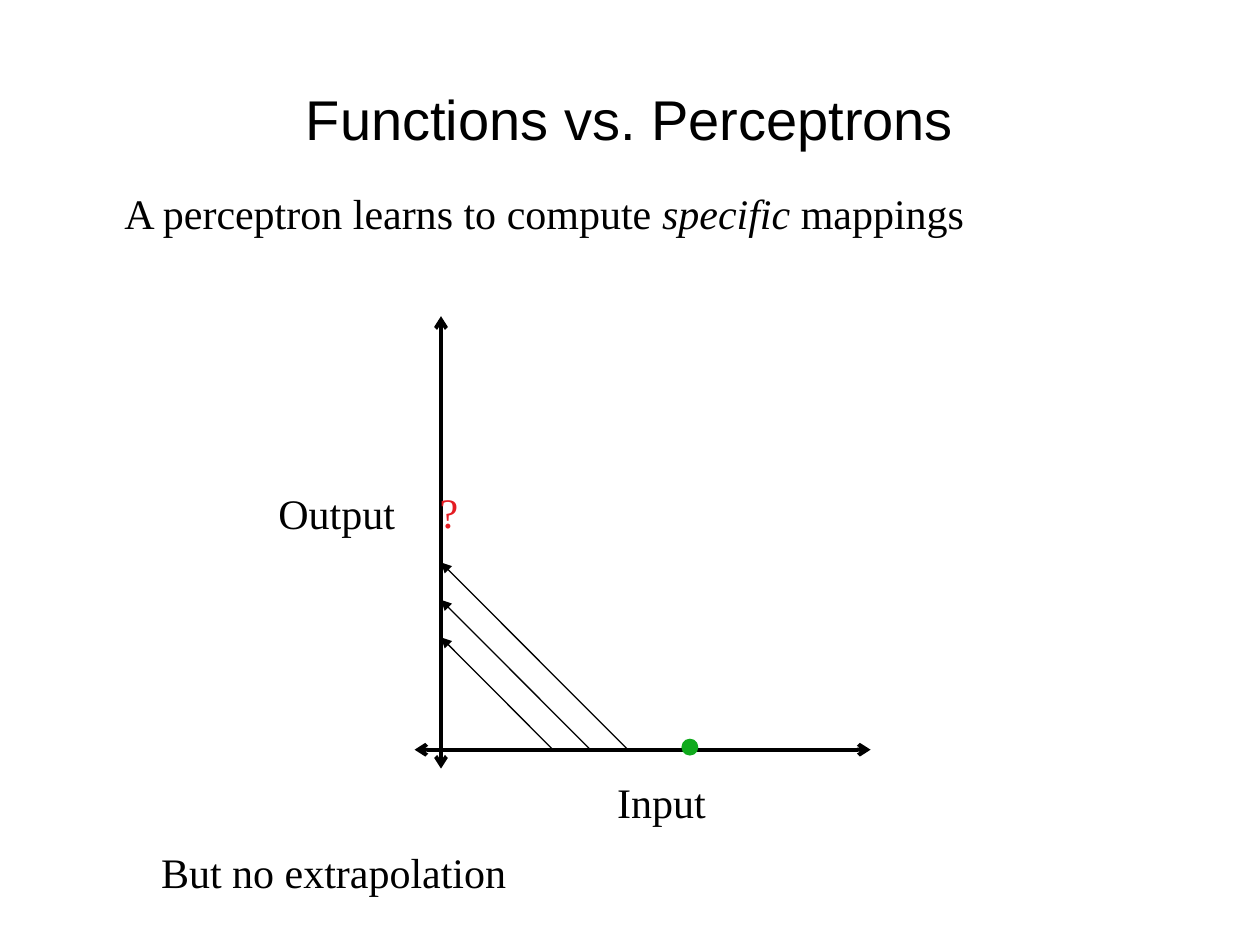
import pptx
import pptx.dml.color
import pptx.enum.shapes
import pptx.enum.text
import pptx.oxml.ns
import pptx.util
from lxml import etree

Pt = pptx.util.Pt

TITLE = "Functions vs. Perceptrons"
BLACK, RED, GREEN = "000000", "E41C23", "10AA1D"

# (spans as (words, italic)), (left, top, width, height), colour, wraps
LABELS = [
    ([("A perceptron learns to compute ", False), ("specific", True), (" mappings", False)],
     (64, 103.7, 519, 36), BLACK, True),
    ([("Input", False)], (345.6, 440, 65, 36), BLACK, False),
    ([("Output", False)], (152, 275, 95.8, 36), BLACK, True),
    ([("But no extrapolation", False)], (85, 480.2, 211.7, 36), BLACK, False),
    ([("?", False)], (244.1, 274.3, 15.8, 36), RED, True),
]

ORIGIN_X, ORIGIN_Y = 252, 428.4
AXES = [
    ((ORIGIN_X, 180.7), (ORIGIN_X, 439.2)),
    ((236.9, ORIGIN_Y), (497.5, ORIGIN_Y)),
]
MAPPING_COUNT, MAPPING_STEP = 3, 21.4
FIRST_INPUT, FIRST_OUTPUT = 316, 364.2
NEW_INPUT = (389.8, 422.5, 8.9, 8.9)


def colour(value):
    return pptx.dml.color.RGBColor.from_string(value)


def apply(target, values):
    for name, value in values.items():
        setattr(target, name, value)


def set_font(font, name, size, value, italic=False):
    apply(font, {"name": name, "size": Pt(size), "italic": italic})
    font.color.rgb = colour(value)


def add_line(page, start, end, width, arrowheads):
    """Draw a black line; arrowheads maps headEnd or tailEnd to a type."""
    line = page.shapes.add_connector(
        pptx.enum.shapes.MSO_CONNECTOR.STRAIGHT, *map(Pt, start + end))
    line.line.width = Pt(width)
    line.line.color.rgb = colour(BLACK)
    outline = line.line._get_or_add_ln()
    for tag, kind in arrowheads.items():
        etree.SubElement(outline, pptx.oxml.ns.qn("a:" + tag), type=kind)
    etree.SubElement(line._element.spPr, pptx.oxml.ns.qn("a:effectLst"))


def add_label(page, spans, place, value, wraps):
    box = page.shapes.add_textbox(*map(Pt, place))
    apply(box.text_frame, {
        "word_wrap": wraps,
        "auto_size": pptx.enum.text.MSO_AUTO_SIZE.SHAPE_TO_FIT_TEXT,
    })
    para = box.text_frame.paragraphs[0]
    for words, italic in spans:
        span = para.add_run()
        span.text = words
        set_font(span.font, "Times New Roman", 24, value, italic)


def add_title(page):
    title = page.shapes.title
    apply(title, {"left": Pt(54), "top": Pt(36.7), "width": Pt(612), "height": Pt(61.9)})
    title.text_frame.text = TITLE
    title.text_frame.vertical_anchor = pptx.enum.text.MSO_ANCHOR.MIDDLE
    para = title.text_frame.paragraphs[0]
    para.alignment = pptx.enum.text.PP_ALIGN.CENTER
    set_font(para.runs[0].font, "Arial", 32, BLACK)


def add_new_input(page):
    dot = page.shapes.add_shape(pptx.enum.shapes.MSO_SHAPE.OVAL, *map(Pt, NEW_INPUT))
    dot.shadow.inherit = False
    dot.fill.solid()
    dot.fill.fore_color.rgb = colour(GREEN)
    dot.line.color.rgb = colour(GREEN)
    dot.line.width = Pt(0.75)


def main():
    deck = pptx.Presentation()
    apply(deck, {"slide_width": Pt(720), "slide_height": Pt(540)})
    page = deck.slides.add_slide(deck.slide_layouts.get_by_name("Title Only"))
    add_title(page)
    for start, end in AXES:
        add_line(page, start, end, 2.25, {"headEnd": "arrow", "tailEnd": "arrow"})
    for index in range(MAPPING_COUNT):
        shift = index * MAPPING_STEP
        add_line(page, (FIRST_INPUT + shift, ORIGIN_Y),
                 (ORIGIN_X, FIRST_OUTPUT - shift), 0.75, {"tailEnd": "triangle"})
    add_new_input(page)
    for label in LABELS:
        add_label(page, *label)
    deck.save("out.pptx")


if __name__ == "__main__":
    main()
